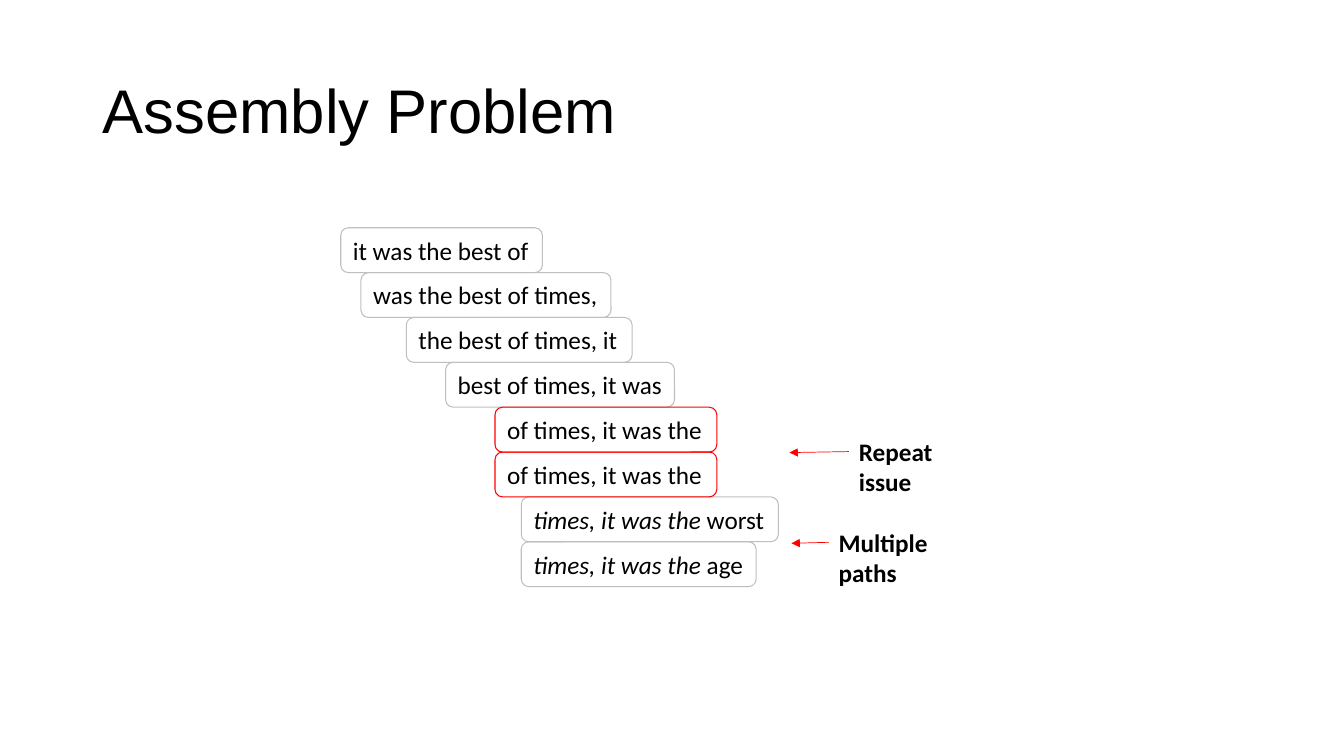
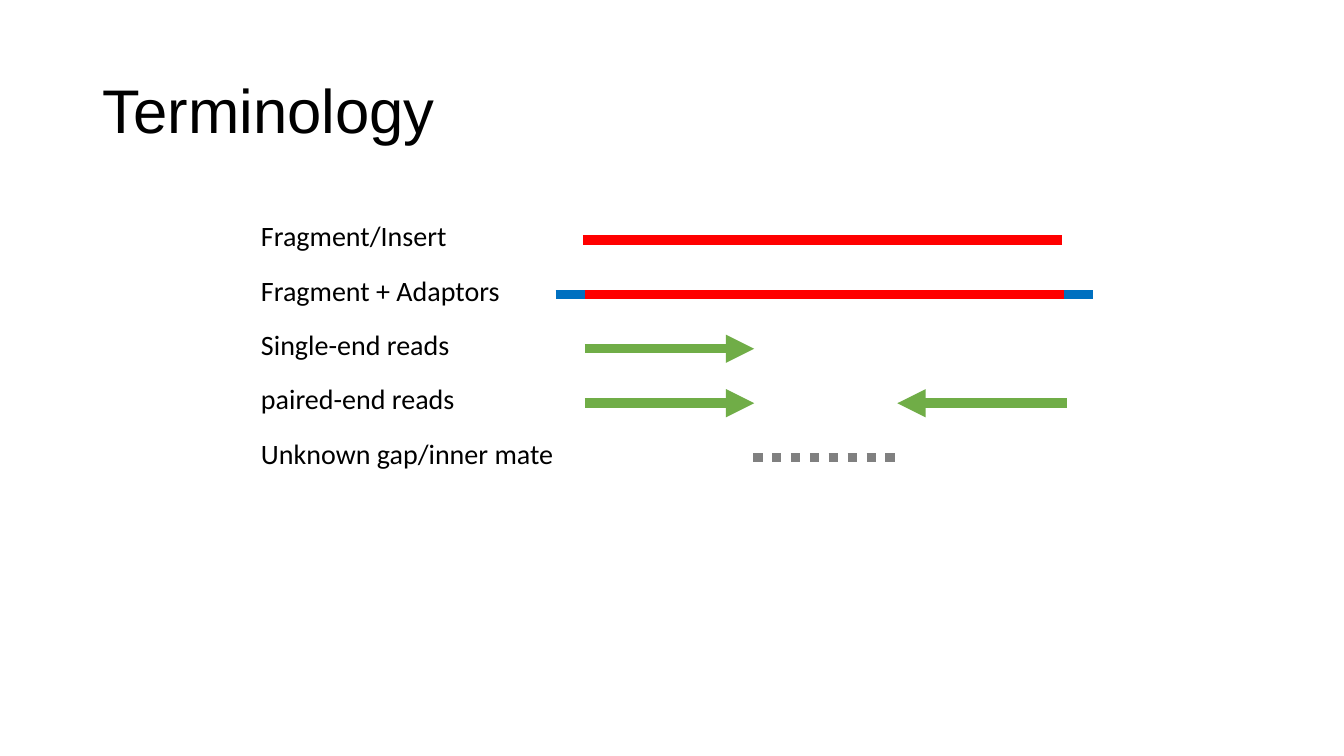
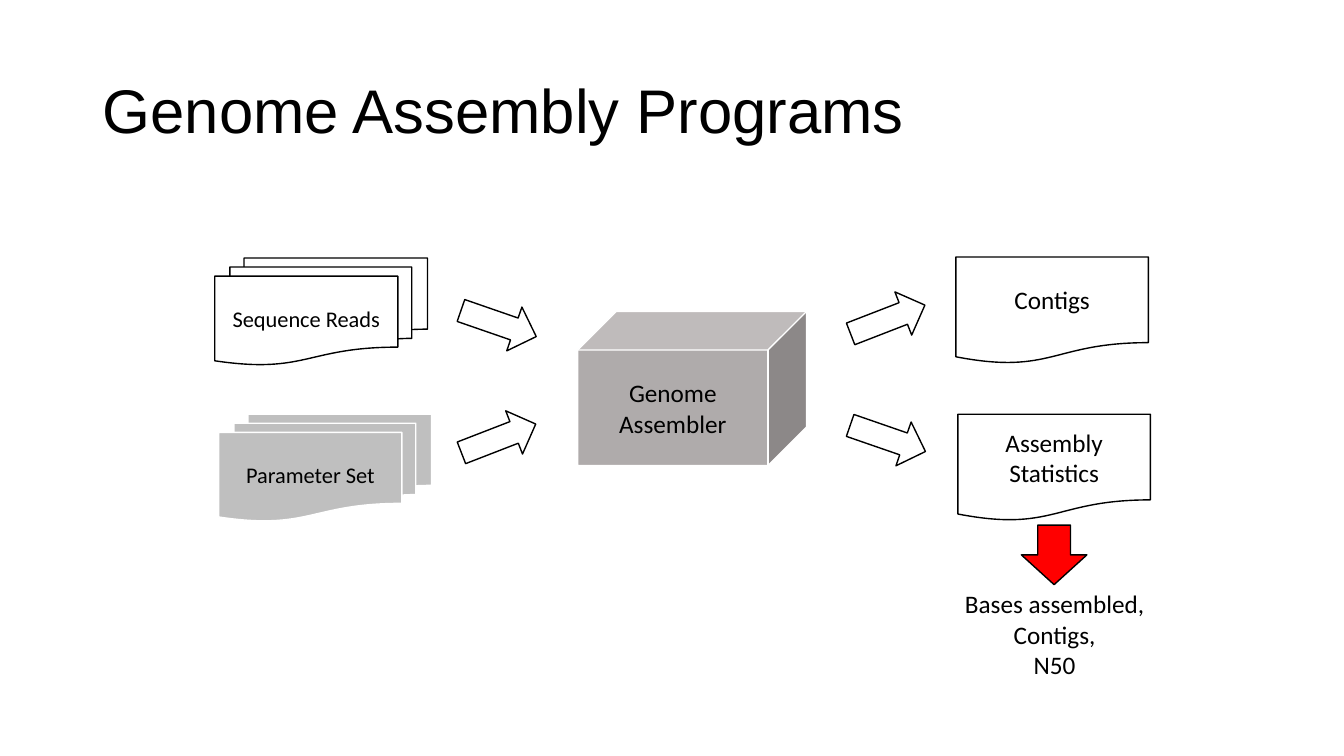
from lxml import etree
from pptx import Presentation
from pptx.dml.color import RGBColor
from pptx.enum.dml import MSO_LINE
from pptx.enum.shapes import MSO_CONNECTOR, MSO_SHAPE
from pptx.enum.text import MSO_ANCHOR, MSO_AUTO_SIZE, PP_ALIGN
from pptx.oxml.ns import qn
from pptx.util import Inches, Pt

ROUNDED = MSO_SHAPE.ROUNDED_RECTANGLE
DOCUMENT = MSO_SHAPE.FLOWCHART_DOCUMENT
STACK = MSO_SHAPE.FLOWCHART_MULTIDOCUMENT
CUBE = MSO_SHAPE.CUBE
RIGHT, DOWN = MSO_SHAPE.RIGHT_ARROW, MSO_SHAPE.DOWN_ARROW
TOP, MIDDLE = MSO_ANCHOR.TOP, MSO_ANCHOR.MIDDLE
LEFT, CENTER = PP_ALIGN.LEFT, PP_ALIGN.CENTER
FIT = MSO_AUTO_SIZE.SHAPE_TO_FIT_TEXT
DOTS = MSO_LINE.ROUND_DOT

colour = RGBColor.from_string
BLACK, WHITE, RED = "000000", "FFFFFF", "FF0000"
BLUE, GREEN = "0070C0", "70AD47"
SILVER, GREY, CUBE_GREY = "BFBFBF", "808080", "AFABAB"


def write(shape, paragraphs, size, font="Calibri", align=LEFT, anchor=TOP,
          wrap=True, fit=False, bold=False):
    """Fill a shape with paragraphs, each a list of (text, italic) runs."""
    frame = shape.text_frame
    frame.word_wrap = wrap
    frame.vertical_anchor = anchor
    if fit:
        frame.auto_size = FIT
    for i, runs in enumerate(paragraphs):
        paragraph = frame.add_paragraph() if i else frame.paragraphs[0]
        paragraph.alignment = align
        for text, italic in runs:
            run = paragraph.add_run()
            run.text = text
            run.font.name, run.font.size = font, Pt(size)
            run.font.bold, run.font.italic = bold, italic
            run.font.color.rgb = colour(BLACK)


def draw_line(slide, start, end, hex_colour, width, arrow=False, dash=None):
    """Draw a straight line, with an arrowhead at its end if asked."""
    line = slide.shapes.add_connector(
        MSO_CONNECTOR.STRAIGHT, *[Inches(v) for v in (*start, *end)])
    line.line.color.rgb = colour(hex_colour)
    line.line.width = Pt(width)
    if dash:
        line.line.dash_style = dash
    properties = line._element.spPr
    if arrow:
        etree.SubElement(properties.find(qn("a:ln")), qn("a:tailEnd"), type="triangle")
    etree.SubElement(properties, qn("a:effectLst"))


prs = Presentation()
prs.slide_width, prs.slide_height = Inches(13.33), Inches(7.5)

# Slides and their titles
slides = []
for title in ("Assembly Problem", "Terminology", "Genome Assembly Programs"):
    slide = prs.slides.add_slide(prs.slide_layouts[6])
    heading = slide.shapes.add_textbox(Inches(0.92), Inches(0.4), Inches(11.5), Inches(1.45))
    write(heading, [[(title, False)]], 44, font="Arial", anchor=MIDDLE)
    heading.text_frame.paragraphs[0].line_spacing = 0.9
    slides.append(slide)
problem, terminology, programs = slides

# Assembly problem: overlapping reads, one per row
# row, left, width, outline, shared italic words, plain words
reads = [
    (0, 3.38, 2.0, SILVER, "", "it was the best of"),
    (1, 3.58, 2.48, SILVER, "", "was the best of times,"),
    (2, 4.03, 2.24, SILVER, "", "the best of times, it"),
    (3, 4.42, 2.27, SILVER, "", "best of times, it was"),
    (6, 5.17, 2.55, SILVER, "times, it was the ", "worst"),
    (7, 5.17, 2.33, SILVER, "times, it was the ", "age"),
    (4, 4.91, 2.2, RED, "", "of times, it was the"),
    (5, 4.91, 2.2, RED, "", "of times, it was the"),
]
READ_HEIGHT = 0.445
for row, left, width, outline, shared, plain in reads:
    read = problem.shapes.add_shape(
        ROUNDED, Inches(left), Inches(2.26 + row * READ_HEIGHT),
        Inches(width), Inches(READ_HEIGHT))
    read.shadow.inherit = False
    read.fill.background()
    read.line.color.rgb = colour(outline)
    read.line.width = Pt(0.75)
    runs = [(shared, True)] if shared else []
    write(read, [runs + [(plain, False)]], 18, wrap=False, fit=True)

# Issues beside the reads: text, left, top, width, arrow tip
issues = [
    ("Repeat issue", 8.42, 4.28, 1.45, 7.83),
    ("Multiple paths", 8.22, 5.18, 1.64, 7.85),
]
for text, left, top, width, tip in issues:
    issue = problem.shapes.add_textbox(Inches(left), Inches(top), Inches(width), Inches(0.4))
    write(issue, [[(text, False)]], 18, bold=True)
    draw_line(problem, (left, top + 0.2), (tip, top + 0.21), RED, 0.5, arrow=True)

# Terminology: each term with its segments (from, to, colour, arrow, dash)
terms = [
    ("Fragment/Insert", [(5.78, 10.53, RED, False, None)]),
    ("Fragment + Adaptors", [(5.8, 10.55, RED, False, None),
                             (5.51, 5.8, BLUE, False, None),
                             (10.55, 10.84, BLUE, False, None)]),
    ("Single-end reads", [(5.8, 7.48, GREEN, True, None)]),
    ("paired-end reads", [(10.58, 8.9, GREEN, True, None),
                          (5.8, 7.48, GREEN, True, None)]),
    ("Unknown gap/inner mate", [(7.47, 8.91, GREY, False, DOTS)]),
]
for row, (text, segments) in enumerate(terms):
    top = 2.12 + row * 0.54
    term = terminology.shapes.add_textbox(Inches(2.49), Inches(top), Inches(3.44), Inches(0.44))
    write(term, [[(text, False)]], 20, fit=True)
    for start, end, hex_colour, arrow, dash in segments:
        y = top + 0.26
        draw_line(terminology, (start, y), (end, y), hex_colour, 6.75, arrow, dash)

# Programs: inputs, assembler, outputs and the arrows between them
# preset, left, top, width, height, rotation, fill, outline, text, size
parts = [
    (STACK, 2.13, 2.56, 2.11, 1.06, 0, WHITE, BLACK, "Sequence Reads", 16),
    (STACK, 2.17, 4.11, 2.11, 1.06, 0, SILVER, WHITE, "Parameter Set", 16),
    (CUBE, 5.73, 3.09, 2.27, 1.53, 0, CUBE_GREY, WHITE, "Genome Assembler", 18),
    (DOCUMENT, 9.48, 2.55, 1.91, 1.06, 0, WHITE, BLACK, "Contigs", 18),
    (DOCUMENT, 9.5, 4.11, 1.91, 1.06, 0, WHITE, BLACK, "Assembly Statistics", 18),
    (RIGHT, 4.55, 2.98, 0.79, 0.46, 19.1, WHITE, BLACK, "", 0),
    (RIGHT, 8.41, 4.12, 0.79, 0.46, 19.1, WHITE, BLACK, "", 0),
    (RIGHT, 4.55, 4.12, 0.79, 0.46, 338.8, WHITE, BLACK, "", 0),
    (RIGHT, 8.41, 2.94, 0.79, 0.46, 338.8, WHITE, BLACK, "", 0),
    (DOWN, 10.13, 5.21, 0.65, 0.59, 0, RED, BLACK, "", 0),
]
for preset, left, top, width, height, rotation, fill, outline, text, size in parts:
    part = programs.shapes.add_shape(
        preset, Inches(left), Inches(top), Inches(width), Inches(height))
    part.shadow.inherit = False
    part.rotation = rotation
    part.fill.solid()
    part.fill.fore_color.rgb = colour(fill)
    part.line.color.rgb = colour(outline)
    part.line.width = Pt(1)
    if text:
        write(part, [[(text, False)]], size, align=CENTER, anchor=MIDDLE)

# What the statistics report
statistics = programs.shapes.add_textbox(Inches(9.46), Inches(5.79), Inches(2), Inches(1.01))
lines = ("Bases assembled,", "Contigs,", "N50")
write(statistics, [[(text, False)] for text in lines], 18, align=CENTER, wrap=False, fit=True)

prs.save("out.pptx")
